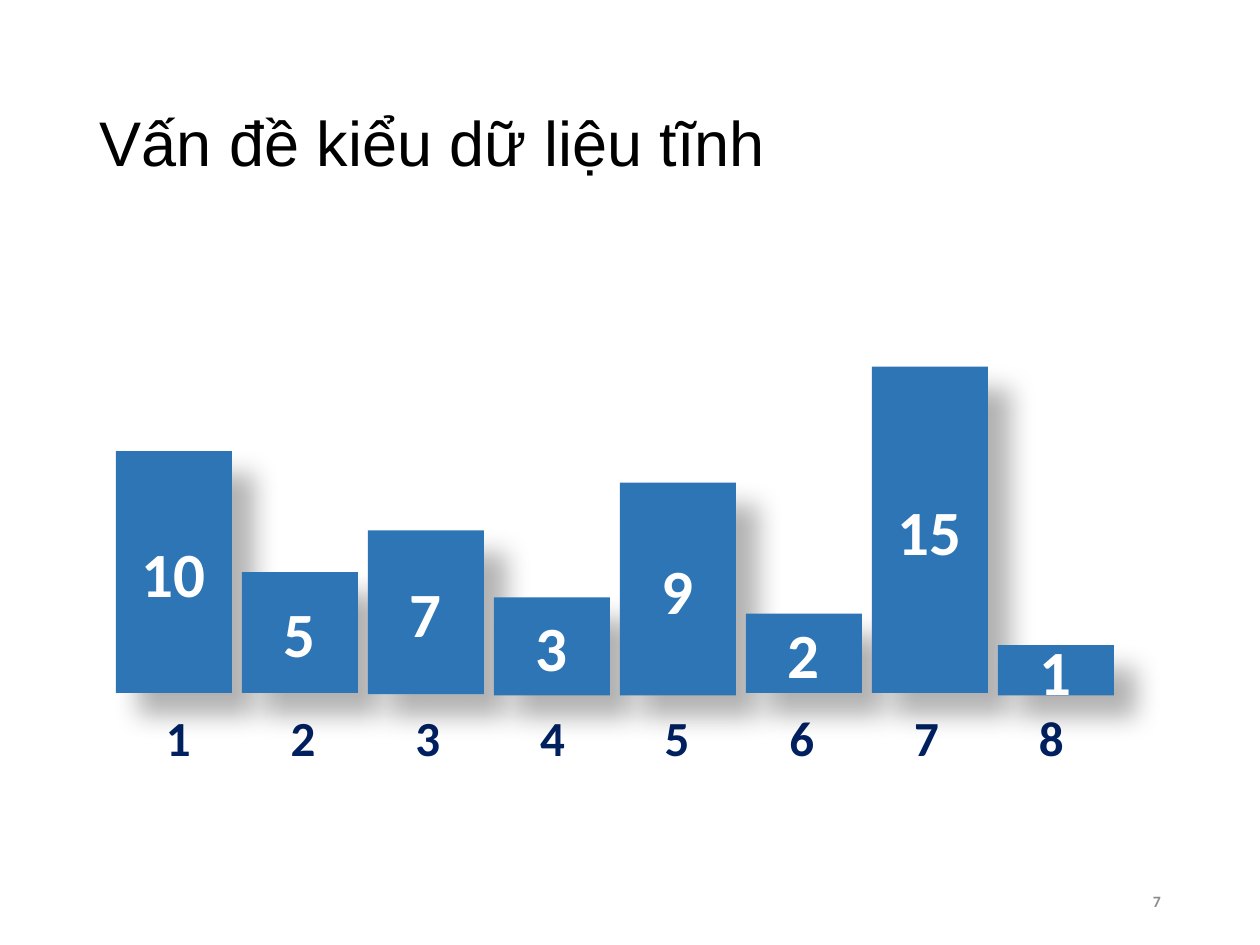
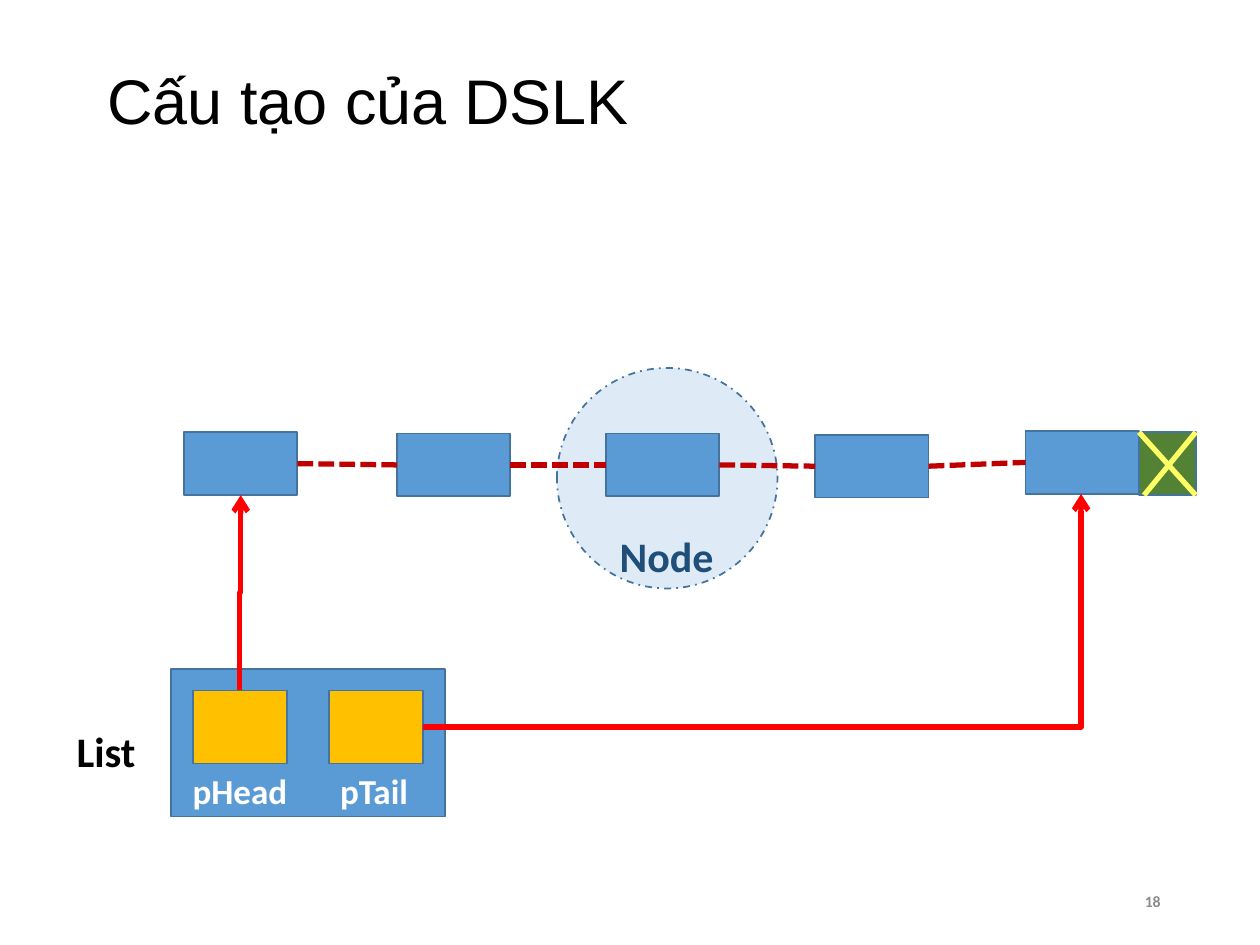
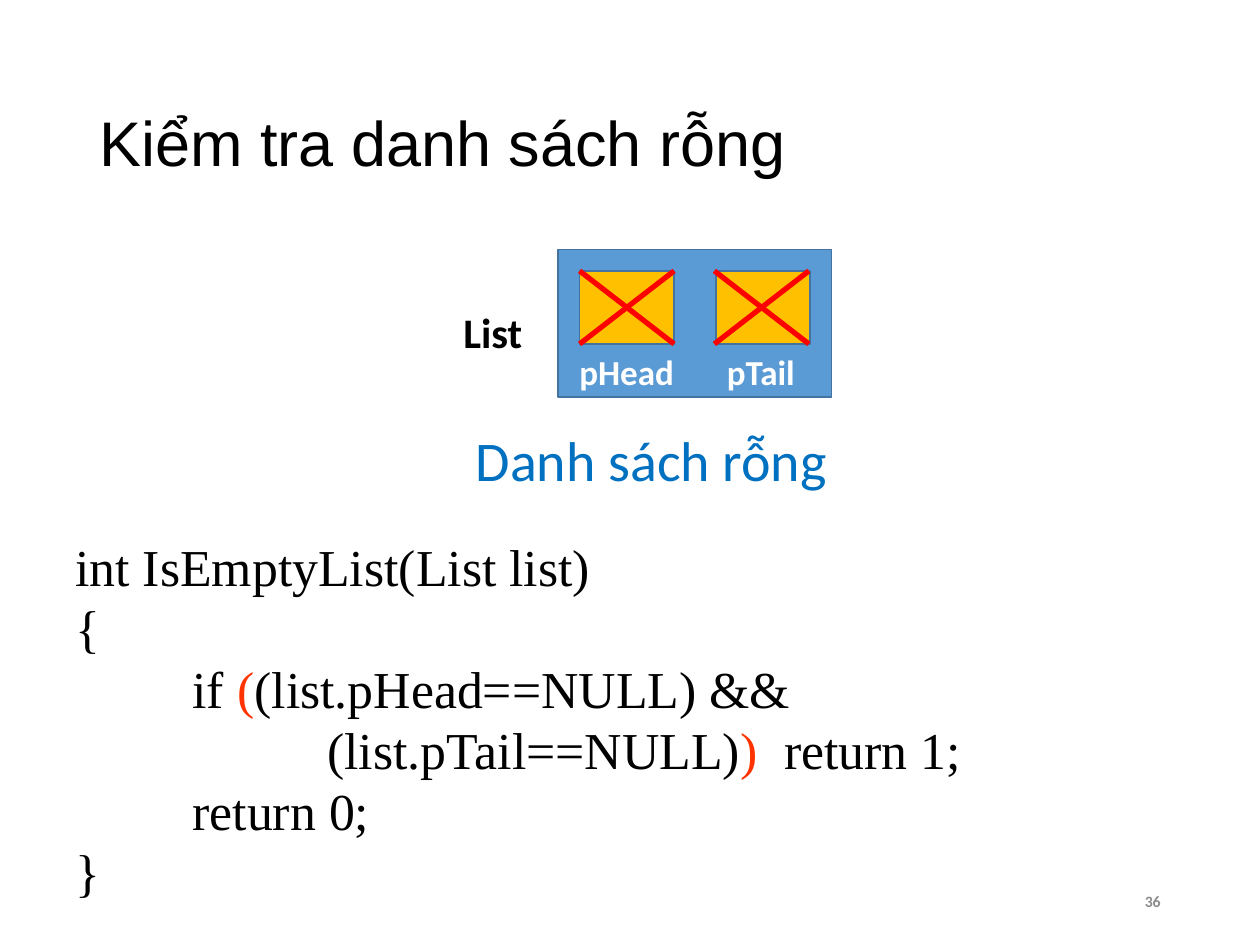
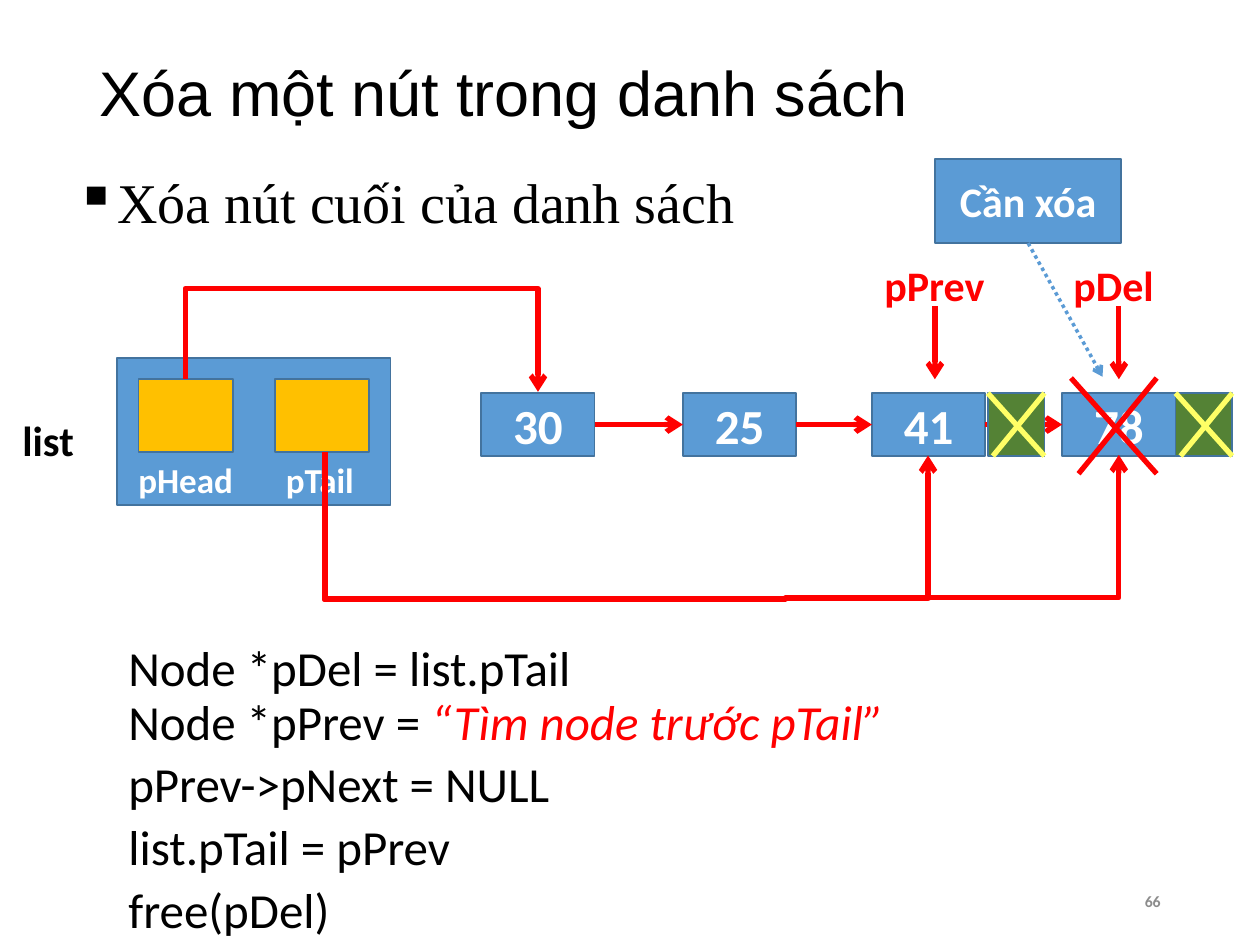
from lxml import etree
from pptx import Presentation
from pptx import util as u
from pptx.dml.color import RGBColor
from pptx.enum import dml, shapes, text
from pptx.oxml.ns import qn

COLORS = {
    "black": "000000", "white": "FFFFFF", "gray": "8C8C8C", "navy": "002060",
    "bar": "2E75B6", "node": "5B9BD5", "edge": "43739E", "pointer": "FFC000",
    "halo": "DEEBF7", "halo_text": "1F4E79", "null": "548235", "yellow": "FFFF66",
    "red": "FF0000", "dark_red": "C00000", "orange": "FF3300", "blue": "0070C0",
}
RGB = {name: RGBColor.from_string(value) for name, value in COLORS.items()}
BOX, OVAL = shapes.MSO_SHAPE.RECTANGLE, shapes.MSO_SHAPE.OVAL
STRAIGHT, ELBOW = shapes.MSO_CONNECTOR.STRAIGHT, shapes.MSO_CONNECTOR.ELBOW
LEFT, CENTER, RIGHT = text.PP_ALIGN.LEFT, text.PP_ALIGN.CENTER, text.PP_ALIGN.RIGHT
TOP, RIGHT_SIDE, BOTTOM, LEFT_SIDE = 0, 3, 2, 1


def draw_box(page, place, label="", size=24, color="white", fill=None, line="edge",
             shape=BOX, bold=True, align=LEFT):
    place = [u.Inches(length) for length in place]
    if fill:
        box = page.shapes.add_shape(shape, *place)
        box.shadow.inherit = False
        box.fill.solid()
        box.fill.fore_color.rgb = RGB[fill]
        if line:
            box.line.color.rgb = RGB[line]
            box.line.width = u.Pt(1)
        else:
            box.line.fill.background()
        box.text_frame.vertical_anchor = text.MSO_ANCHOR.MIDDLE
    else:
        box = page.shapes.add_textbox(*place)
    box.text_frame.word_wrap = bool(fill) or align != LEFT
    if label:
        para = box.text_frame.paragraphs[0]
        para.text = label
        para.alignment = CENTER if fill else align
        para.font.name = "Calibri"
        para.font.size = u.Pt(size)
        para.font.bold = bold
        para.font.color.rgb = RGB[color]
    return box


def draw_line(page, start, end, color="red", width=3, dash=None, arrow=False, kind=STRAIGHT):
    link = page.shapes.add_connector(kind, *[u.Inches(length) for length in (*start, *end)])
    link.line.color.rgb = RGB[color]
    link.line.width = u.Pt(width)
    if dash:
        link.line.dash_style = dash
    properties = link._element.spPr
    if arrow:
        etree.SubElement(properties.find(qn("a:ln")), qn("a:tailEnd"), type="arrow")
    etree.SubElement(properties, qn("a:effectLst"))
    return link


deck = Presentation()
deck.slide_width, deck.slide_height = u.Inches(10), u.Inches(7.5)

pages = []
for heading, number, place in [
    ("Vấn đề kiểu dữ liệu tĩnh", "7", (0.69, 0.4, 8.62, 1.45)),
    ("Cấu tạo của DSLK", "18", (0.75, 0.33, 8.5, 0.92)),
    ("Kiểm tra danh sách rỗng", "36", (0.69, 0.4, 8.62, 1.45)),
    ("Xóa một nút trong danh sách", "66", (0.69, 0, 8.62, 1.45)),
]:
    page = deck.slides.add_slide(deck.slide_layouts[5])
    title = page.shapes.title
    title.left, title.top, title.width, title.height = [u.Inches(length) for length in place]
    title.text_frame.text = heading
    title.text_frame.vertical_anchor = text.MSO_ANCHOR.MIDDLE
    para = title.text_frame.paragraphs[0]
    para.alignment = LEFT
    para.font.name = "Arial"
    para.font.size = u.Pt(36)
    para.font.color.rgb = RGB["black"]
    footer = draw_box(page, (6.62, 6.95, 2.69, 0.4), number, 9, "gray", align=RIGHT)
    footer.text_frame.vertical_anchor = text.MSO_ANCHOR.MIDDLE
    pages.append(page)
array_page, structure_page, empty_page, delete_page = pages

index_frame = array_page.shapes.add_table(
    1, 8, u.Inches(0.92), u.Inches(5.58), u.Inches(7.92), u.Inches(0.75))
index_table = index_frame.table
index_table.first_row = index_table.horz_banding = False
for column in range(8):
    index_table.columns[column].width = u.Inches(0.99)
    cell = index_table.cell(0, column)
    cell.text = str(column + 1)
    para = cell.text_frame.paragraphs[0]
    para.alignment = CENTER
    para.font.name = "Calibri"
    para.font.size = u.Pt(28)
    para.font.bold = True
    para.font.color.rgb = RGB["navy"]
    for side, weight in (("L", 1), ("R", 1), ("T", 1), ("B", 3)):
        border = etree.SubElement(
            cell._tc.get_or_add_tcPr(), qn(f"a:ln{side}"), w=str(u.Pt(weight)))
        paint = etree.SubElement(border, qn("a:solidFill"))
        etree.SubElement(paint, qn("a:srgbClr"), val=COLORS["white"])
    cell.fill.background()

bars = [(10, 3.58, 1.92), (5, 4.54, 0.96), (7, 4.21, 1.3), (3, 4.74, 0.78),
        (9, 3.83, 1.69), (2, 4.87, 0.63), (15, 2.91, 2.59), (1, 5.12, 0.4)]
for position, (value, top, height) in enumerate(bars):
    bar = draw_box(array_page, (0.92 + position, top, 0.92, height), str(value), 36,
                   fill="bar", line=None)
    shadow = etree.SubElement(
        bar._element.spPr.find(qn("a:effectLst")), qn("a:outerShdw"),
        blurRad=str(u.Pt(15)), dist=str(u.Pt(18)), dir="2700000", algn="tl", rotWithShape="0")
    shade = etree.SubElement(shadow, qn("a:srgbClr"), val=COLORS["black"])
    etree.SubElement(shade, qn("a:alpha"), val="30000")

heads, tails = {}, {}
for page, left, top, label in [(structure_page, 1.36, 5.31, "List"),
                               (empty_page, 4.43, 1.98, "List"),
                               (delete_page, 0.93, 2.84, "list")]:
    draw_box(page, (left, top, 2.17, 1.17), fill="node")
    for pointers, name, offset, label_offset, label_width in [
        (heads, "pHead", 0.17, 0.07, 1), (tails, "pTail", 1.25, 1.24, 0.81),
    ]:
        pointers[page.slide_id] = draw_box(
            page, (left + offset, top + 0.17, 0.75, 0.58), fill="pointer")
        draw_box(page, (left + label_offset, top + 0.75, label_width, 0.44), name, 20)
    label_width = 0.76 if label == "List" else 0.63
    draw_box(page, (left - 0.85, top + 0.4, label_width, 0.5), label, color="black")

halo = draw_box(structure_page, (4.42, 2.92, 1.75, 1.75), fill="halo", shape=OVAL)
halo.line.dash_style = dml.MSO_LINE.DASH_DOT
draw_box(structure_page, (4.82, 4.16, 0.95, 0.5), "Node", color="halo_text")
chain = [draw_box(structure_page, (left, top, 0.9, 0.5), fill="node")
         for left, top in [(1.46, 3.43), (3.15, 3.44), (4.81, 3.44), (6.47, 3.45), (8.14, 3.42)]]
numbers = [draw_box(delete_page, (left, 3.12, 0.9, 0.5), label, 28, fill="node")
           for left, label in [(3.82, "30"), (5.42, "25"), (6.92, "41"), (8.43, "78")]]
for page, nodes, style in [
    (structure_page, chain, dict(color="dark_red", dash=dml.MSO_LINE.SQUARE_DOT)),
    (delete_page, numbers, dict(arrow=True)),
]:
    for node, following in zip(nodes, nodes[1:]):
        link = draw_line(page, (0, 0), (1, 0), **style)
        link.begin_connect(node, RIGHT_SIDE)
        link.end_connect(following, LEFT_SIDE)

for page, begin, begin_side, end, end_side, place, turn, flips, preset, bends in [
    (structure_page, heads, TOP, chain[0], BOTTOM,
     (1.13, 4.7, 1.55, 0.01), 90, "hv", "bentConnector3", [0.5]),
    (structure_page, tails, RIGHT_SIDE, chain[-1], BOTTOM,
     (3.36, 3.92, 5.22, 1.85), 0, "v", "bentConnector2", []),
    (delete_page, heads, TOP, numbers[0], TOP,
     (2.82, 1.66, 0.1, 2.8), 270, "h", "bentConnector3", [-7.2]),
    (delete_page, tails, BOTTOM, numbers[3], BOTTOM,
     (5.72, 0.45, 0.02, 6.3), 270, "h", "bentConnector5", [58, 0.58, 57.5]),
    (delete_page, tails, BOTTOM, numbers[2], BOTTOM,
     (4.96, 1.21, 0.02, 4.79), 270, "h", "bentConnector5", [58, 0.5, 57.5]),
]:
    link = draw_line(page, (0, 0), (1, 1), arrow=True, kind=ELBOW)
    link.begin_connect(begin[page.slide_id], begin_side)
    link.end_connect(end, end_side)
    link.left, link.top, link.width, link.height = [u.Inches(length) for length in place]
    frame = link._element.spPr.find(qn("a:xfrm"))
    frame.set("rot", str(turn * 60000))
    for axis in "hv":
        frame.set("flip" + axis.upper(), str(int(axis in flips)))
    geometry = link._element.spPr.find(qn("a:prstGeom"))
    geometry.set("prst", preset)
    for order, bend in enumerate(bends, 1):
        etree.SubElement(geometry.find(qn("a:avLst")), qn("a:gd"),
                         name=f"adj{order}", fmla=f"val {round(bend * 100000)}")

crosses = [(empty_page, 4.6, 2.15, 0.75, 0.58, 0, "red"),
           (empty_page, 5.67, 2.15, 0.75, 0.58, 0, "red"),
           (delete_page, 8.5, 3, 0.68, 0.76, 0.06, "red")]
for page, left, top in [(structure_page, 9.04, 3.43), (delete_page, 9.33, 3.12),
                        (delete_page, 7.84, 3.12)]:
    draw_box(page, (left, top, 0.45, 0.5), fill="null")
    crosses.append((page, left, top, 0.45, 0.5, 0.04, "yellow"))
for page, left, top, width, height, slant, color in crosses:
    draw_line(page, (left + width, top), (left + slant, top + height), color)
    draw_line(page, (left, top), (left + width, top + height), color)

draw_box(empty_page, (3.42, 3.33, 3.5, 0.64), "Danh sách rỗng", 32, "blue",
         bold=False, align=CENTER)
code = draw_box(empty_page, (0.5, 4.33, 9, 3)).text_frame
code.word_wrap = True
for order, (indent, spans) in enumerate([
    (0, [("int IsEmptyList(List list)", "black")]),
    (0, [("{", "black")]),
    (0.93, [("if ", "black"), ("(", "orange"), ("(list.pHead==NULL) &&", "black")]),
    (2, [("(list.pTail==NULL)", "black"), (")", "orange"), ("  return 1;", "black")]),
    (0.93, [("return 0;", "black")]),
    (0, [("}", "black")]),
]):
    para = code.add_paragraph() if order else code.paragraphs[0]
    para.line_spacing = 0.7
    para.space_before = u.Pt(10)
    para.font.name = "Times New Roman"
    para.font.size = u.Pt(29.6)
    para._p.get_or_add_pPr().set("marL", str(u.Inches(indent)))
    for words, color in spans:
        span = para.add_run()
        span.text = words
        span.font.color.rgb = RGB[color]

topic = draw_box(delete_page, (0.5, 1.34, 6.5, 0.75), "Xóa nút cuối của danh sách", 32, "black",
                 bold=False)
topic.text_frame.word_wrap = True
para = topic.text_frame.paragraphs[0]
para.font.name = "Times New Roman"
para.line_spacing = 0.9
para.space_before = u.Pt(10)
settings = para._p.get_or_add_pPr()
settings.set("marL", str(u.Inches(0.19)))
settings.set("indent", str(u.Inches(-0.19)))
bullet = etree.Element(qn("a:buChar"), char="▪")
settings.find(qn("a:defRPr")).addprevious(bullet)

target = draw_box(delete_page, (7.42, 1.26, 1.48, 0.67), "Cần xóa", fill="node")
target_arrow = draw_line(delete_page, (8.16, 1.93), (8.75, 2.99), "node", 2,
                         dml.MSO_LINE.ROUND_DOT, True)
target_arrow.begin_connect(target, BOTTOM)
for name, left, width, center in [("pPrev", 6.92, 1.05, 7.42), ("pDel", 8.42, 0.88, 8.88)]:
    draw_box(delete_page, (left, 2.01, width, 0.5), name, color="red")
    draw_line(delete_page, (center, 2.43), (center, 3.01), arrow=True)

for words, remark, top, width in [
    ("Node *pDel = list.pTail", "", 5.01, 3.75),
    ("Node *pPrev =", " “Tìm node trước pTail”", 5.44, 6.27),
    ("pPrev->pNext = NULL", "", 5.93, 3.9),
    ("list.pTail = pPrev", "", 6.43, 2.91),
    ("free(pDel)", "", 6.93, 1.81),
]:
    step = draw_box(delete_page, (0.92, top, width, 0.57), words, 28, "black", bold=False)
    if remark:
        span = step.text_frame.paragraphs[0].add_run()
        span.text = remark
        span.font.italic = True
        span.font.color.rgb = RGB["red"]

deck.save("out.pptx")
